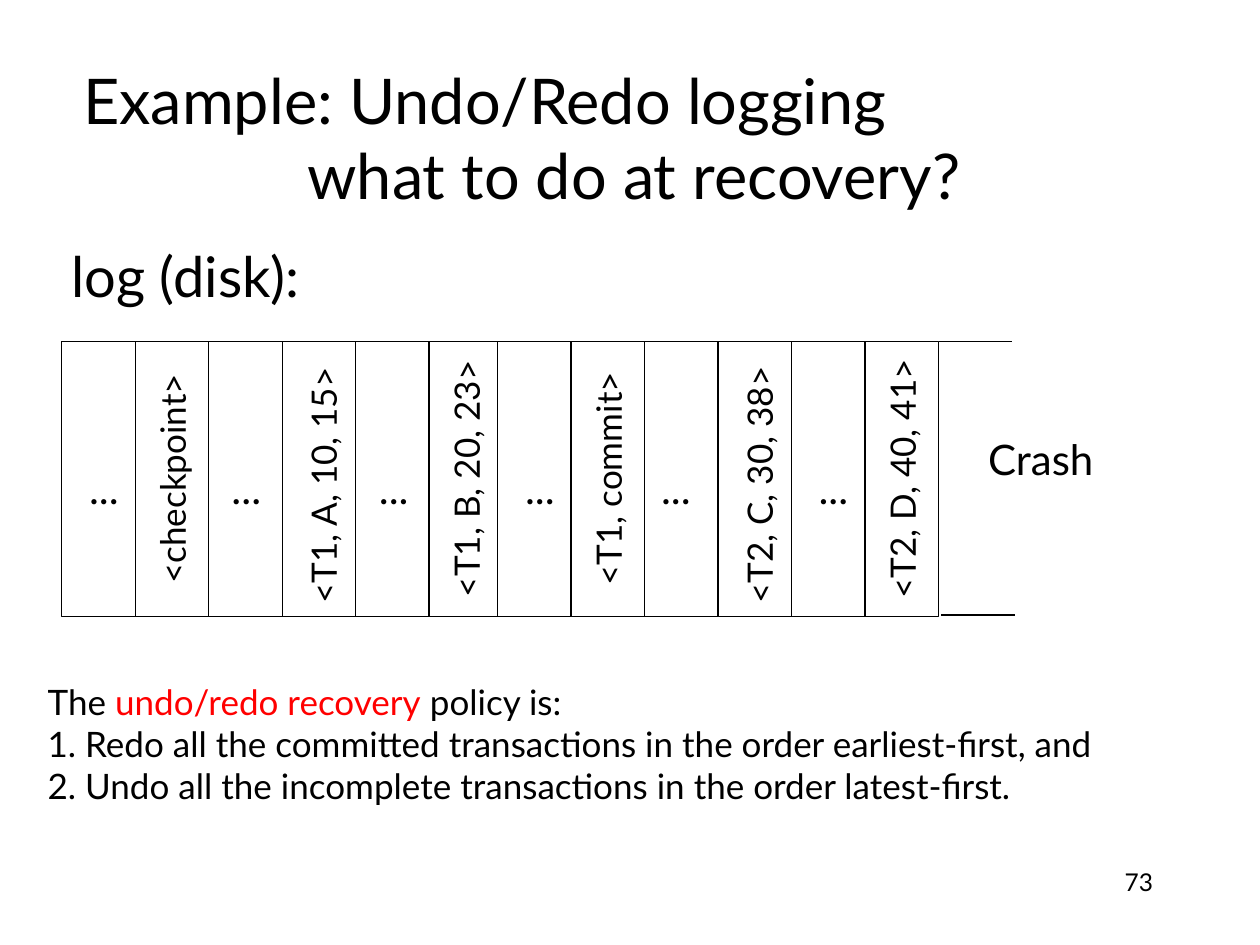
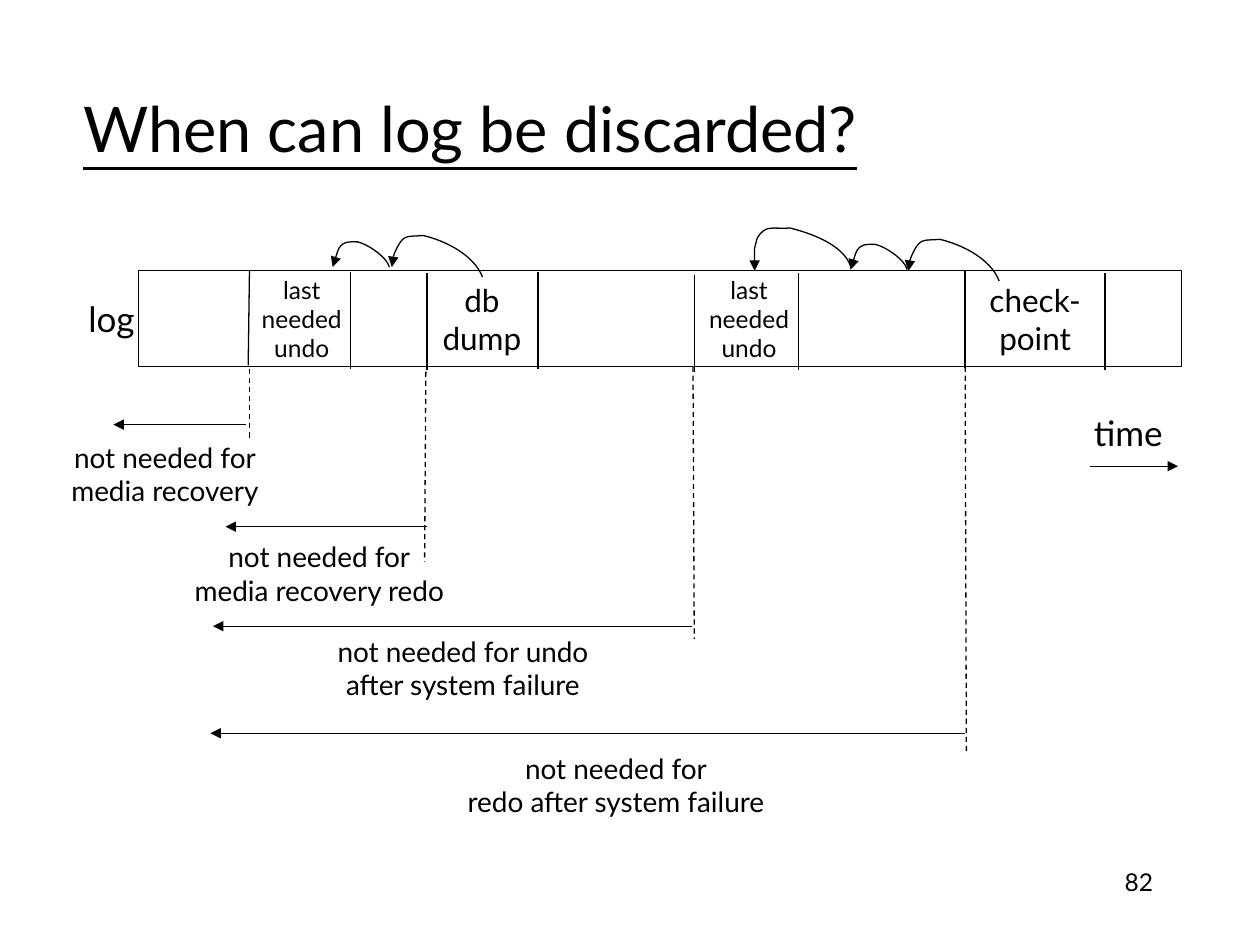
from typing import NamedTuple

from lxml.etree import SubElement
from pptx import Presentation
from pptx.dml.color import RGBColor
from pptx.enum.dml import MSO_LINE
from pptx.enum.shapes import MSO_CONNECTOR, MSO_SHAPE
from pptx.enum.text import MSO_ANCHOR as Anchor, MSO_AUTO_SIZE as AutoSize, PP_ALIGN as Align
from pptx.oxml.ns import qn
from pptx.util import Inches, Pt

FONT = "Lato"
BLACK, WHITE, RED = "000000", "FFFFFF", "FF0000"
TITLE_ONLY = 5


class Frame(NamedTuple):
    left: float
    top: float
    width: float
    height: float


class Span(NamedTuple):
    text: str
    color: str = BLACK


class Caption(NamedTuple):
    lines: list
    size: int
    frame: Frame


class Segment(NamedTuple):
    x1: float
    y1: float
    x2: float
    y2: float


class Cutoff(NamedTuple):
    """A point in the log before which records are no longer needed."""
    boundary: Segment
    arrow: Segment
    caption: Caption


class Divider(NamedTuple):
    x: float
    top: float


class Arc(NamedTuple):
    """A curved arrow: start point, then Bezier points relative to it."""
    x: float
    y: float
    bends: list


RECORDS = ["", "<checkpoint>", "", "<T1, A, 10, 15>", "", "<T1, B, 20, 23>",
           "", "<T1, commit>", "", "<T2, C, 30, 38>", "", "<T2, D, 40, 41>"]
SHIFTED_RECORDS = (3, 9)
CELL_WIDTH, CELL_HEIGHT, LOG_TOP = 3.5 / 6, 2.18, 2.71
HALF_STARTS = (0.49, 3.95)
ELLIPSIS_LEFTS = (0.59, 1.72, 2.89, 4.05, 5.13, 6.38)
OPEN_END_LINES = ((7.45, 2.71), (7.47, 4.88))
POLICY = [
    [Span("The "), Span("undo/redo recovery", RED), Span(" policy is:")],
    [Span("1. Redo all the committed transactions in the order earliest-first, and")],
    [Span("2. Undo all the incomplete transactions in the order latest-first.")],
]

DIVIDER_HEIGHT = 0.77
DIVIDERS = [Divider(2.78, 2.16), Divider(3.39, 2.17), Divider(4.27, 2.16),
            Divider(5.51, 2.18), Divider(6.34, 2.17), Divider(7.66, 2.15),
            Divider(8.77, 2.17)]
SLANTED_DIVIDER = Segment(1.98, 2.15, 1.97, 2.9)
TIME_ARROW = Segment(8.65, 3.7, 9.35, 3.7)
LAST_UNDO = ["last", "needed", "undo"]
LOG_CAPTIONS = [
    Caption(LAST_UNDO, 14, Frame(1.95, 2.13, 0.89, 0.8)),
    Caption(["db", "dump"], 18, Frame(3.38, 2.18, 0.89, 0.7)),
    Caption(LAST_UNDO, 14, Frame(5.5, 2.13, 0.89, 0.8)),
    Caption(["check-", "point"], 18, Frame(7.74, 2.18, 0.95, 0.7)),
    Caption(["log"], 20, Frame(0.58, 2.31, 0.61, 0.44)),
    Caption(["time"], 20, Frame(8.56, 3.21, 0.79, 0.44)),
]
CUTOFFS = [
    Cutoff(Segment(1.98, 2.93, 1.98, 3.48), Segment(1.95, 3.37, 0.9, 3.37), Caption(
        ["not needed for", "media recovery"], 16, Frame(0.41, 3.44, 1.8, 0.64))),
    Cutoff(Segment(3.38, 2.95, 3.37, 4.46), Segment(3.39, 4.18, 1.79, 4.18), Caption(
        ["not needed for", "media recovery redo"], 16, Frame(1.36, 4.23, 2.35, 0.64))),
    Cutoff(Segment(5.5, 2.91, 5.51, 5.07), Segment(5.49, 4.97, 1.69, 4.97), Caption(
        ["not needed for undo", "after system failure"], 16, Frame(2.5, 4.98, 2.35, 0.64))),
    Cutoff(Segment(7.66, 2.91, 7.67, 5.96), Segment(7.66, 5.82, 1.67, 5.82), Caption(
        ["not needed for", "redo after system failure"], 16, Frame(3.51, 5.91, 2.76, 0.64))),
]
MEDIUM_BEND = [(-0.07, -0.18), (-0.3, -0.29), (-0.47, -0.33),
               (-0.59, -0.32), (-0.62, -0.34), (-0.67, -0.25),
               (-0.7, -0.19), (-0.72, -0.15), (-0.72, -0.08)]
SMALL_BEND = [(-0.02, -0.08), (-0.17, -0.18), (-0.25, -0.2),
              (-0.32, -0.2), (-0.36, -0.21), (-0.4, -0.15),
              (-0.41, -0.13), (-0.43, -0.06), (-0.45, 0)]
WIDE_BEND = [(-0.06, -0.17), (-0.32, -0.26), (-0.48, -0.3),
             (-0.63, -0.29), (-0.67, -0.33), (-0.74, -0.22),
             (-0.77, -0.1), (-0.76, -0.19), (-0.76, 0.04)]
ARCS = [Arc(7.93, 2.23, MEDIUM_BEND), Arc(7.2, 2.14, SMALL_BEND),
        Arc(6.75, 2.11, WIDE_BEND), Arc(3.83, 2.2, MEDIUM_BEND),
        Arc(3.09, 2.12, SMALL_BEND)]


def rgb(color: str) -> RGBColor:
    return RGBColor.from_string(color)


def inches(lengths: tuple) -> list:
    return [Inches(length) for length in lengths]


def add_span(para, span: Span, size: int, underline: bool = False) -> None:
    run = para.add_run()
    run.text = span.text
    run.font.name = FONT
    run.font.size = Pt(size)
    run.font.color.rgb = rgb(span.color)
    if underline:
        run.font.underline = True


def fill_text(text_frame, rows: list, size: int, align: Align) -> None:
    """Write one paragraph for each row of spans."""
    for index, row in enumerate(rows):
        para = text_frame.add_paragraph() if index else text_frame.paragraphs[0]
        para.alignment = align
        for span in row:
            add_span(para, span, size)


def plain(lines: list) -> list:
    return [[Span(line)] for line in lines]


def add_text(page, frame: Frame, rows: list, size: int,
             align: Align = Align.LEFT) -> None:
    box = page.shapes.add_textbox(*inches(frame))
    box.text_frame.word_wrap = True
    fill_text(box.text_frame, rows, size, align)


def add_caption(page, caption: Caption) -> None:
    """Add unwrapped text centred in its frame."""
    box = page.shapes.add_textbox(*inches(caption.frame))
    box.text_frame.word_wrap = False
    box.text_frame.auto_size = AutoSize.SHAPE_TO_FIT_TEXT
    box.text_frame.vertical_anchor = Anchor.MIDDLE
    fill_text(box.text_frame, plain(caption.lines), caption.size, Align.CENTER)


def style_line(shape, arrow: bool = False, dashed: bool = False) -> None:
    shape.line.color.rgb = rgb(BLACK)
    shape.line.width = Pt(0.75)
    if dashed:
        shape.line.dash_style = MSO_LINE.DASH
    if arrow:
        SubElement(shape._element.spPr.find(qn("a:ln")), qn("a:tailEnd"), type="triangle")


def add_line(page, segment: Segment, arrow: bool = False, dashed: bool = False) -> None:
    line = page.shapes.add_connector(MSO_CONNECTOR.STRAIGHT, *inches(segment))
    style_line(line, arrow, dashed)
    SubElement(line._element.spPr, qn("a:effectLst"))


def add_rectangle(page, frame: Frame):
    rectangle = page.shapes.add_shape(MSO_SHAPE.RECTANGLE, *inches(frame))
    rectangle.shadow.inherit = False
    rectangle.fill.solid()
    rectangle.fill.fore_color.rgb = rgb(WHITE)
    style_line(rectangle)
    return rectangle


def bend_segments(curve) -> None:
    """Turn each three straight segments into one Bezier segment."""
    segments = list(curve._element.iter(qn("a:lnTo")))
    for first in range(0, len(segments), 3):
        bend, *others = segments[first:first + 3]
        cubic = SubElement(bend.getparent(), qn("a:cubicBezTo"))
        for segment in (bend, *others):
            cubic.append(segment[0])
            segment.getparent().remove(segment)


def add_arc(page, arc: Arc) -> None:
    builder = page.shapes.build_freeform(Inches(arc.x), Inches(arc.y))
    builder.add_line_segments(
        [inches((arc.x + x, arc.y + y)) for x, y in arc.bends], close=False)
    curve = builder.convert_to_shape()
    bend_segments(curve)
    curve.shadow.inherit = False
    curve.fill.background()
    style_line(curve, arrow=True)


def add_page(deck, number: int, title_lines: list, title_frame: Frame,
             indent: float = 0, underline: bool = False):
    """Add a slide with its page number and title; later title lines are indented."""
    page = deck.slides.add_slide(deck.slide_layouts[TITLE_ONLY])
    title = page.shapes.title
    title.left, title.top, title.width, title.height = inches(title_frame)
    title.text_frame.auto_size = AutoSize.NONE
    title.text_frame.vertical_anchor = Anchor.MIDDLE
    para = title.text_frame.paragraphs[0]
    para.alignment = Align.LEFT
    properties = para._p.get_or_add_pPr()
    properties.set("marL", str(Inches(indent)))
    properties.set("indent", str(-Inches(indent)))
    for index, line in enumerate(title_lines):
        if index:
            para.add_line_break()
        add_span(para, Span(line), 36, underline)
    add_text(page, Frame(7.17, 6.83, 2.08, 0.5), plain([str(number)]), 14, Align.RIGHT)
    return page


def add_record(page, index: int, record: str) -> None:
    """Add a log cell, turned so that its text reads upwards."""
    half, position = divmod(index, 6)
    center = HALF_STARTS[half] + (position + 0.5) * CELL_WIDTH
    middle = LOG_TOP + CELL_HEIGHT / 2
    cell = add_rectangle(page, Frame(center - CELL_HEIGHT / 2, middle - CELL_WIDTH / 2,
                                     CELL_HEIGHT, CELL_WIDTH))
    cell.rotation = 270
    if not record:
        return
    text_frame = cell.text_frame
    text_frame.word_wrap = False
    text_frame.vertical_anchor = Anchor.MIDDLE
    shifted = index in SHIFTED_RECORDS
    if shifted:
        text_frame.margin_top = Inches(0.11)
    fill_text(text_frame, plain([record]), 20, Align.LEFT if shifted else Align.CENTER)


def build_recovery(deck) -> None:
    page = add_page(deck, 73, ["Example: Undo/Redo logging", "what to do at recovery?"],
                    Frame(0.56, 0.46, 8.5, 1.25), indent=1.78)
    add_text(page, Frame(0.47, 1.87, 8.5, 3.14), plain(["log (disk):"]), 32)
    for index, record in enumerate(RECORDS):
        add_record(page, index, record)
    for x, y in OPEN_END_LINES:
        add_line(page, Segment(x, y, x + CELL_WIDTH, y))
    add_caption(page, Caption(["Crash"], 24, Frame(7.71, 3.39, 1.1, 0.5)))
    for left in ELLIPSIS_LEFTS:
        add_caption(page, Caption(["..."], 24, Frame(left, 3.62, 0.47, 0.5)))
    add_text(page, Frame(0.28, 5.35, 9.17, 1.1), POLICY, 20)


def build_discarding(deck) -> None:
    page = add_page(deck, 82, ["When can log be discarded?"],
                    Frame(0.56, 0.53, 8.5, 0.96), underline=True)
    add_rectangle(page, Frame(1.1, 2.15, 8.28, 0.76))
    add_line(page, SLANTED_DIVIDER)
    for x, top in DIVIDERS:
        add_line(page, Segment(x, top, x, top + DIVIDER_HEIGHT))
    for arc in ARCS:
        add_arc(page, arc)
    for cutoff in CUTOFFS:
        add_line(page, cutoff.boundary, dashed=True)
        add_line(page, cutoff.arrow, arrow=True)
    for caption in LOG_CAPTIONS + [cutoff.caption for cutoff in CUTOFFS]:
        add_caption(page, caption)
    add_line(page, TIME_ARROW, arrow=True)


def main() -> None:
    deck = Presentation()
    deck.slide_width, deck.slide_height = Inches(10), Inches(7.5)
    build_recovery(deck)
    build_discarding(deck)
    deck.save("out.pptx")


if __name__ == "__main__":
    main()
